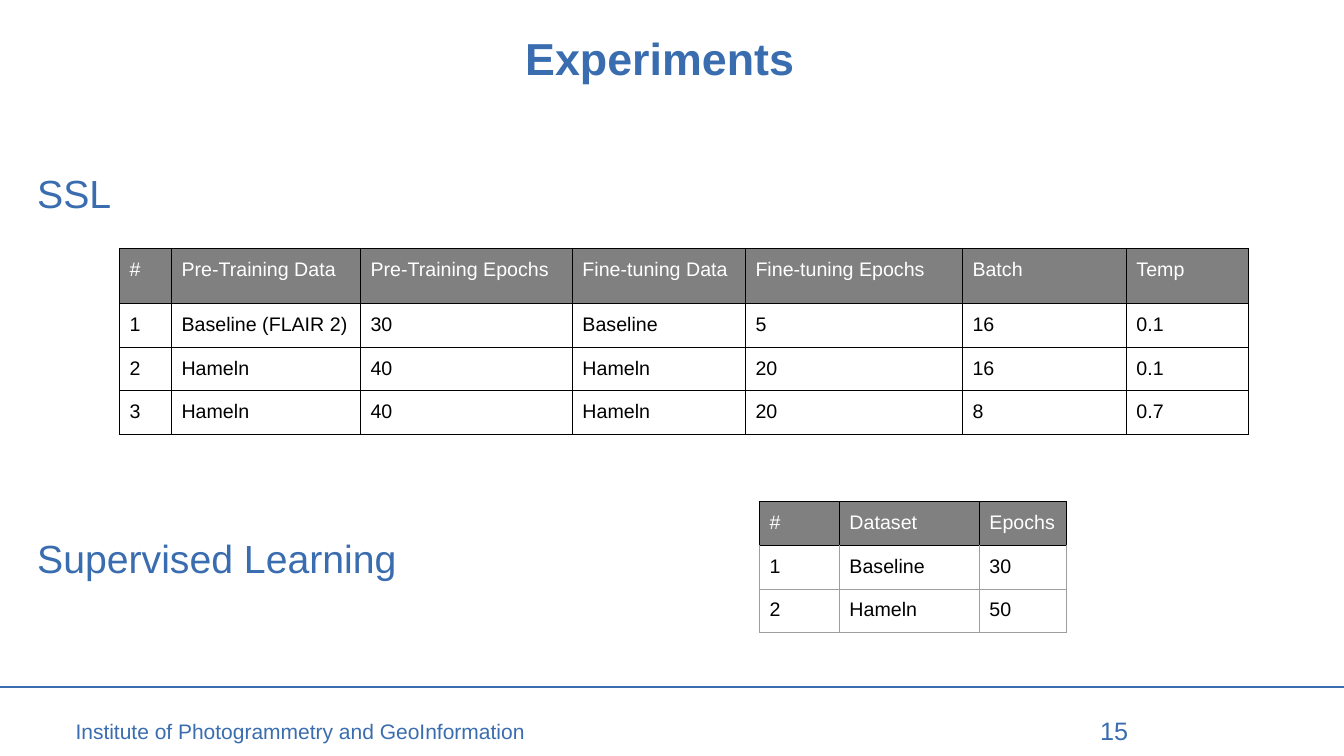
from lxml.etree import SubElement
from pptx import Presentation
from pptx.dml.color import RGBColor
from pptx.enum.shapes import MSO_CONNECTOR
from pptx.enum.text import MSO_ANCHOR, PP_ALIGN
from pptx.oxml import parse_xml
from pptx.oxml.ns import nsdecls, qn
from pptx.util import Pt

# Content
TITLE = "Experiments"
INSTITUTE = "Institute of Photogrammetry and GeoInformation"
PAGE = "15"
HEADINGS = [("SSL", 117.5), ("Supervised Learning", 378.2)]
SSL_ROWS = [
    ("#", "Pre-Training Data", "Pre-Training Epochs", "Fine-tuning Data",
     "Fine-tuning Epochs", "Batch", "Temp"),
    ("1", "Baseline (FLAIR 2)", "30", "Baseline", "5", "16", "0.1"),
    ("2", "Hameln", "40", "Hameln", "20", "16", "0.1"),
    ("3", "Hameln", "40", "Hameln", "20", "8", "0.7"),
]
SUPERVISED_ROWS = [
    ("#", "Dataset", "Epochs"),
    ("1", "Baseline", "30"),
    ("2", "Hameln", "50"),
]

FONT = "Arial"
BLUE, BLACK, WHITE = "3A6DAF", "000000", "FFFFFF"
HEADER_GREY, BORDER_GREY = "808080", "9E9E9E"
WIDTH, HEIGHT = 960, 540
MARGIN, BODY_WIDTH = 19.5, 903.6


def rgb(value):
    return RGBColor.from_string(value)


def add_run(p, text, size, color=BLUE, bold=False):
    r = p.add_run()
    r.text = text
    r.font.name, r.font.size, r.font.bold = FONT, Pt(size), bold
    r.font.color.rgb = rgb(color)


def add_text(s, text, size, box, align=PP_ALIGN.LEFT, inset=(7.2, 3.6)):
    tf = s.shapes.add_textbox(*map(Pt, box)).text_frame
    tf.word_wrap = True
    tf.margin_left = tf.margin_right = Pt(inset[0])
    tf.margin_top = tf.margin_bottom = Pt(inset[1])
    p = tf.paragraphs[0]
    p.alignment = align
    add_run(p, text, size)


def set_borders(cell, color, top):
    tc_pr = cell._tc.get_or_add_tcPr()
    for i, side in enumerate("LRTB"):
        side_color = top if side == "T" else color
        tc_pr.insert(i, parse_xml(
            f'<a:ln{side} {nsdecls("a")} w="{Pt(0.75)}"><a:solidFill>'
            f'<a:srgbClr val="{side_color}"/></a:solidFill></a:ln{side}>'))


def add_grid(s, rows, left, top, widths, heights, body_fill, body_border):
    frame = s.shapes.add_table(len(rows), len(widths), Pt(left), Pt(top),
                               Pt(sum(widths)), Pt(sum(heights)))
    table = frame.table
    table.first_row = table.horz_banding = False
    for column, width in zip(table.columns, widths):
        column.width = Pt(width)
    for i, (values, height) in enumerate(zip(rows, heights)):
        table.rows[i].height = Pt(height)
        for j, value in enumerate(values):
            cell = table.cell(i, j)
            cell.margin_left = cell.margin_right = Pt(7.2)
            cell.margin_top = cell.margin_bottom = Pt(7.2)
            fill = body_fill if i else HEADER_GREY
            if fill:
                cell.fill.solid()
                cell.fill.fore_color.rgb = rgb(fill)
            else:
                cell.fill.background()
            set_borders(cell, body_border if i else BLACK,
                        body_border if i > 1 else BLACK)
            add_run(cell.text_frame.paragraphs[0], value, 14,
                    BLACK if i else WHITE)


def main():
    prs = Presentation()
    prs.slide_width, prs.slide_height = Pt(WIDTH), Pt(HEIGHT)
    s = prs.slides.add_slide(prs.slide_layouts[5])

    # Footer
    line = s.shapes.add_connector(MSO_CONNECTOR.STRAIGHT, Pt(0), Pt(490.75),
                                  Pt(WIDTH), Pt(490.75))
    line.line.color.rgb = rgb(BLUE)
    line.line.width = Pt(2)
    SubElement(line._element.spPr, qn("a:effectLst"))
    add_text(s, INSTITUTE, 15, (54, 513, 329, 18), inset=(0, 0))
    add_text(s, PAGE, 18, (689, 507.6, 124, 29), PP_ALIGN.RIGHT)

    # Title
    title = s.shapes.title
    title.left, title.top = Pt(MARGIN), Pt(21.6)
    title.width, title.height = Pt(BODY_WIDTH), Pt(39)
    tf = title.text_frame
    tf.vertical_anchor = MSO_ANCHOR.MIDDLE
    p = tf.paragraphs[0]
    p.alignment = PP_ALIGN.CENTER
    add_run(p, TITLE, 32, bold=True)

    # Section headings
    for heading, top in HEADINGS:
        add_text(s, heading, 28, (MARGIN, top, 400, 40))

    # Tables
    add_grid(s, SSL_ROWS, 85.4, 177.5,
             (37.1, 135, 151.4, 123.6, 155, 117.1, 87.1),
             (39.2, 31.3, 31.2, 30.5), WHITE, BLACK)
    add_grid(s, SUPERVISED_ROWS, 542.6, 358.2, (57, 100, 62.2),
             (30.1,) * 3, None, BORDER_GREY)

    prs.save("out.pptx")


if __name__ == "__main__":
    main()
